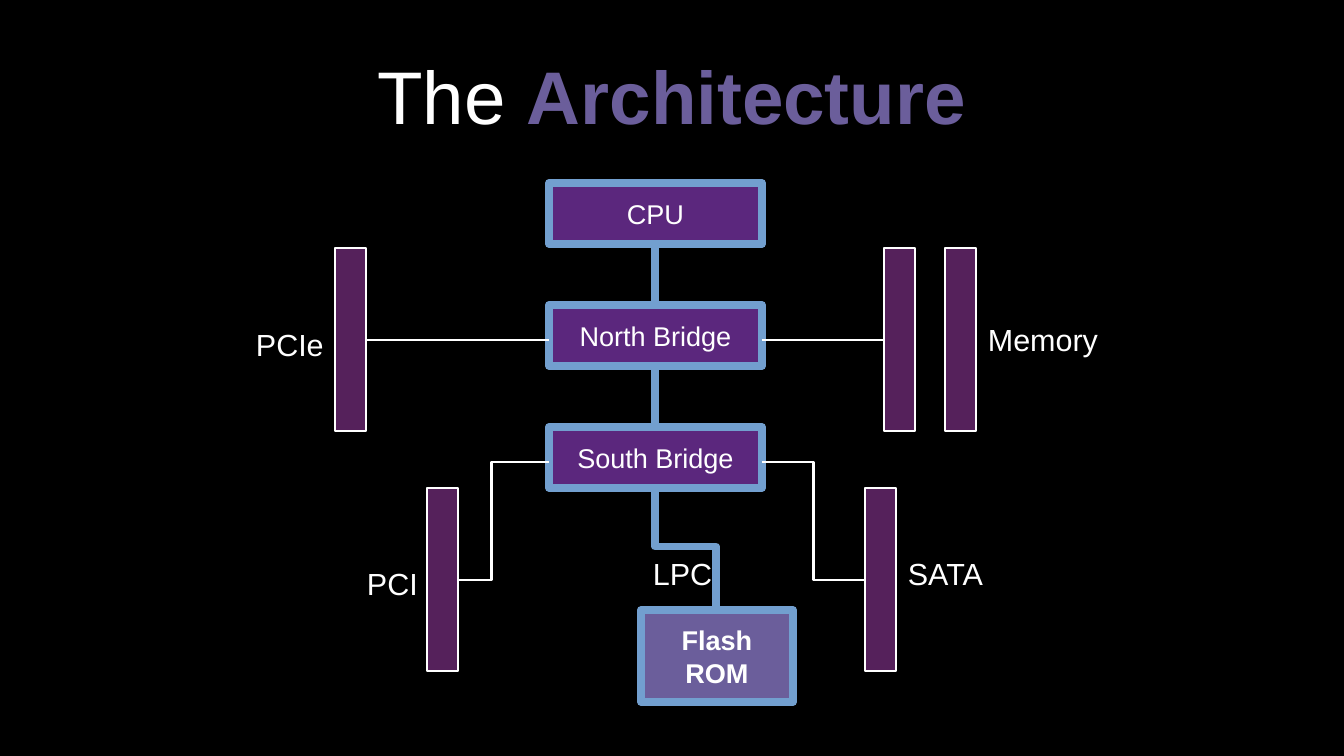
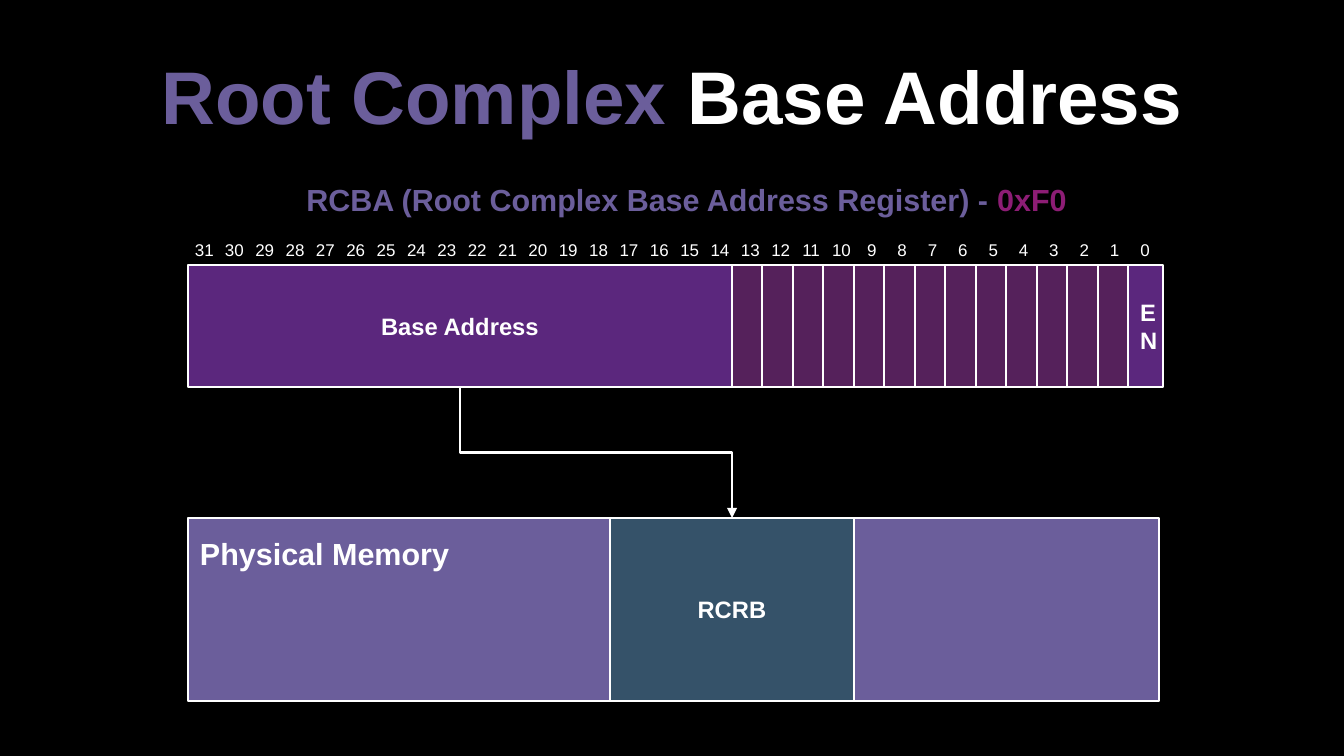
from lxml import etree
from pptx import Presentation
from pptx.dml.color import RGBColor
from pptx.enum.shapes import MSO_CONNECTOR, MSO_SHAPE
from pptx.enum.text import MSO_ANCHOR, PP_ALIGN
from pptx.oxml.ns import qn
from pptx.util import Pt

PIXEL = 914400 / 122
WIDE, HIGH = 1344, 756
RECT = MSO_SHAPE.RECTANGLE
STRAIGHT, ELBOW = MSO_CONNECTOR.STRAIGHT, MSO_CONNECTOR.ELBOW
LEFT, CENTER = PP_ALIGN.LEFT, PP_ALIGN.CENTER
TOP, MIDDLE = MSO_ANCHOR.TOP, MSO_ANCHOR.MIDDLE

FONT = "Arial"
BLACK = RGBColor(0x00, 0x00, 0x00)
WHITE = RGBColor(0xFF, 0xFF, 0xFF)
LILAC = RGBColor(0x6B, 0x5E, 0x9B)
VIOLET = RGBColor(0x5B, 0x27, 0x7D)
PLUM = RGBColor(0x55, 0x21, 0x5B)
PINK = RGBColor(0x8D, 0x1D, 0x75)
SLATE = RGBColor(0x35, 0x52, 0x69)
BLUE = RGBColor(0x72, 0x9F, 0xCF)
THICK, WIRE, THIN, HAIR = 4.5, 1.5, 0.8, 0


def px(*values):
    """Turn pixels into a list of EMU lengths."""
    return [round(value * PIXEL) for value in values]


def write(shape, runs, size=18, bold=False, align=LEFT, anchor=TOP, inset=(12, 6)):
    """Fill a shape with one paragraph of (text, colour[, bold]) runs."""
    frame = shape.text_frame
    frame.word_wrap = True
    frame.vertical_anchor = anchor
    frame.margin_left, frame.margin_top = px(*inset)
    frame.margin_right, frame.margin_bottom = px(*inset)
    line = frame.paragraphs[0]
    line.alignment = align
    for words, color, *heavy in runs:
        run = line.add_run()
        run.text = words
        run.font.name = FONT
        run.font.size = Pt(size)
        run.font.bold = heavy[0] if heavy else bold
        run.font.color.rgb = color
    return line


def label(slide, area, runs, **style):
    """Add a text box and return its paragraph."""
    return write(slide.shapes.add_textbox(*px(*area)), runs, **style)


def block(slide, area, fill, words="", edge=WHITE, width=THIN, **style):
    """Add a filled rectangle with optional centred text."""
    shape = slide.shapes.add_shape(RECT, *px(*area))
    shape.shadow.inherit = False
    shape.fill.solid()
    shape.fill.fore_color.rgb = fill
    shape.line.color.rgb = edge
    shape.line.width = Pt(width)
    if words:
        write(shape, [(words, WHITE)], align=CENTER, anchor=MIDDLE, **style)


def wire(slide, start, end, kind=STRAIGHT, color=WHITE, width=WIRE,
         bend=0.5, down=False, arrow=False):
    """Join two points; an elbow that is down leaves its start vertically."""
    (x1, y1), (x2, y2) = start, end
    if down:
        midx, midy = (x1 + x2) / 2, (y1 + y2) / 2
        halfx, halfy = (x2 - x1) / 2, (y2 - y1) / 2
        x1, y1, x2, y2 = midx + halfy, midy - halfx, midx - halfy, midy + halfx
    line = slide.shapes.add_connector(kind, *px(x1, y1, x2, y2))
    line.line.color.rgb = color
    line.line.width = Pt(width)
    props = line._element.spPr
    if down:
        props.find(qn("a:xfrm")).set("rot", "16200000")
    if kind == ELBOW:
        guides = props.find(qn("a:prstGeom")).find(qn("a:avLst"))
        etree.SubElement(guides, qn("a:gd"), name="adj1", fmla=f"val {round(bend * 100000)}")
    if arrow:
        etree.SubElement(props.find(qn("a:ln")), qn("a:tailEnd"), type="triangle")
    etree.SubElement(props, qn("a:effectLst"))


def start(deck, title):
    """Add a black slide with its title."""
    slide = deck.slides.add_slide(deck.slide_layouts[6])
    fill = slide.background.fill
    fill.solid()
    fill.fore_color.rgb = BLACK
    label(slide, (67, 31, 1210, 127), title, size=44, align=CENTER,
          anchor=MIDDLE, inset=(0, 0))
    return slide


def chips(slide, left, top, wide, high):
    """Stack the chips and hang the flash ROM below them."""
    step = 2 * high
    mid = left + wide // 2
    frame = dict(edge=BLUE, width=THICK, size=16)
    bus = dict(color=BLUE, width=THICK)
    for row, name in enumerate(("CPU", "North Bridge", "South Bridge")):
        y = top + row * step
        block(slide, (left, y, wide, high), VIOLET, name, **frame)
        if row:
            wire(slide, (mid, y - high), (mid, y), **bus)
    base = top + 2 * step + high
    block(slide, (left + 92, base + step, 152, 92), LILAC, "Flash ROM",
          bold=True, inset=(16, 10), **frame)
    wire(slide, (mid, base), (mid + 61, base + step), ELBOW, bend=0.48, down=True, **bus)
    label(slide, (left + 92, base + 61, 122, 46), [("LPC", WHITE)])


def slot(slide, left, top, name, shift, port, count=1, bend=0.5):
    """Draw bus slots, their label at a shift, and the wire to a port."""
    wide, high = 31, 183
    for item in range(count):
        block(slide, (left + 61 * item, top, wide, high), PLUM, width=HAIR)
    label(slide, (left + shift[0], top + shift[1], 200, 46), [(name, WHITE)])
    mid = top + high // 2 + 1
    side = left if port[0] < left else left + wide
    kind = STRAIGHT if port[1] == mid else ELBOW
    wire(slide, port, (side, mid), kind, bend=bend)


def bits(slide, left, top, high):
    """Draw the register: base address, reserved bits, enable bit, numbers."""
    base, spare = 544, 13
    ends = [left + base + 61 * bit // 2 for bit in range(spare + 1)]
    for x, after in zip(ends, ends[1:]):
        block(slide, (x, top, after - x, high), PLUM)
    style = dict(size=14, bold=True)
    block(slide, (left, top, base, high), VIOLET, "Base Address", **style)
    block(slide, (ends[-1], top, 35, high), VIOLET, "EN", **style)
    numbers = "\t".join(str(bit) for bit in range(31, -1, -1))
    line = label(slide, (left - 5, top - 31, 981, 31), [(numbers, WHITE)], size=10)
    stops = etree.SubElement(line._p.get_or_add_pPr(), qn("a:tabLst"))
    for bit in range(1, 32):
        place = px(9 + 941 * bit / 31)[0]
        etree.SubElement(stops, qn("a:tab"), pos=str(place), algn="ctr")


def memory(slide, left, top, wide, high):
    """Draw physical memory with the RCRB region inside it."""
    block(slide, (left, top, wide, high), LILAC)
    label(slide, (left, top + 11, 305, 81), [("Physical Memory", WHITE)], bold=True)
    block(slide, (left + 422, top, 244, high), SLATE, "RCRB", size=14, bold=True)


def layout(deck):
    """Build the architecture slide."""
    slide = start(deck, [("The ", WHITE), ("Architecture", LILAC, True)])
    chips(slide, 549, 183, 213, 61)
    slot(slide, 335, 248, "PCIe", (-91, 72), (549, 340))
    slot(slide, 884, 248, "Memory", (92, 67), (762, 340), count=2)
    slot(slide, 427, 488, "PCI", (-72, 71), (549, 462), bend=0.63)
    slot(slide, 865, 488, "SATA", (31, 61), (762, 462))


def address(deck):
    """Build the root complex base address slide."""
    slide = start(deck, [("Root Complex", LILAC, True), (" Base Address", WHITE, True)])
    label(slide, (275, 153, 823, 92),
          [("RCBA (Root Complex Base Address Register) - ", LILAC), ("0xF0", PINK)],
          bold=True, align=CENTER, anchor=MIDDLE)
    bits(slide, 188, 265, 122)
    memory(slide, 188, 518, 971, 183)
    wire(slide, (460, 387), (732, 518), ELBOW, down=True, arrow=True)


def main():
    """Build and save the deck."""
    deck = Presentation()
    deck.slide_width, deck.slide_height = px(WIDE, HIGH)
    layout(deck)
    address(deck)
    deck.save("out.pptx")


main()
